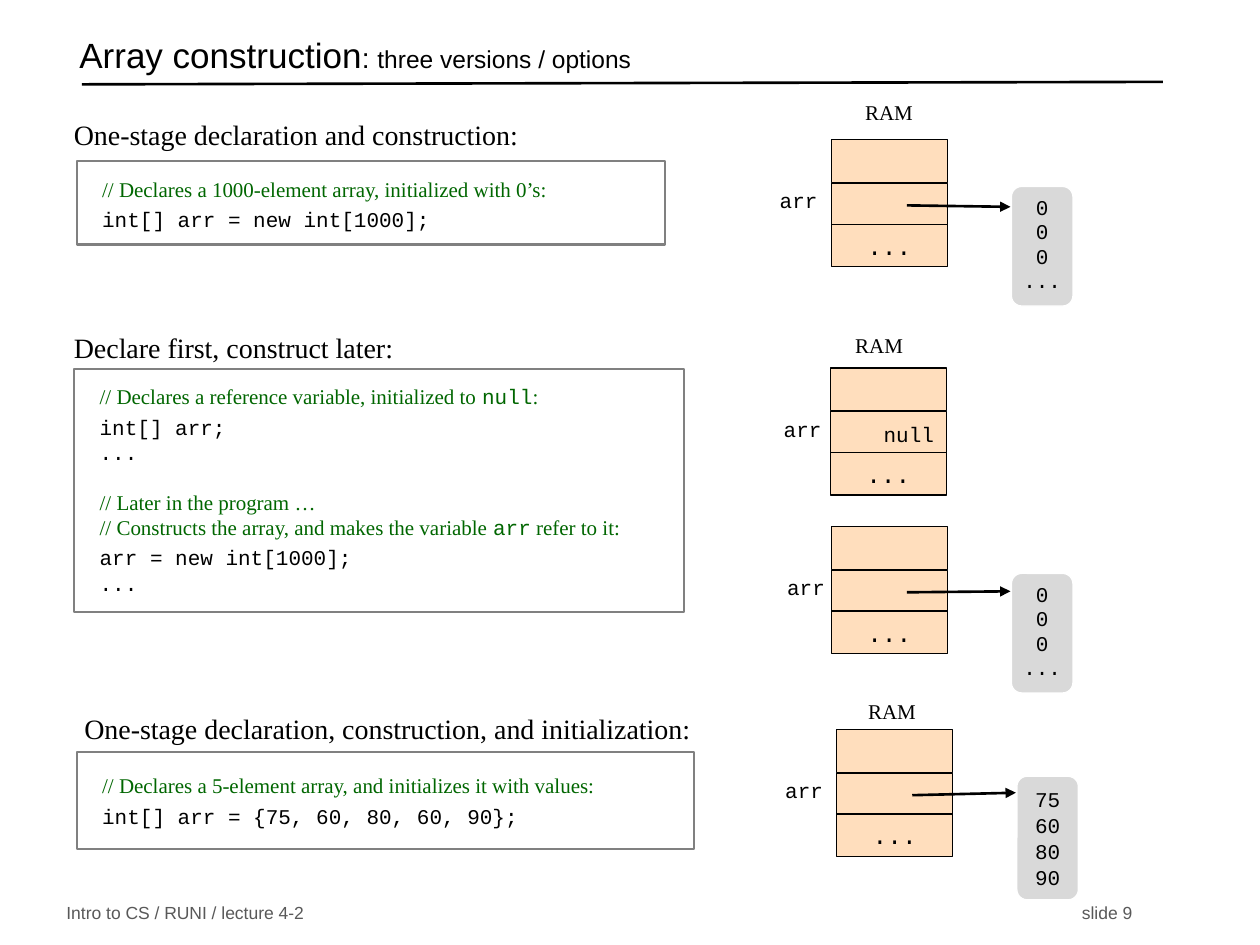
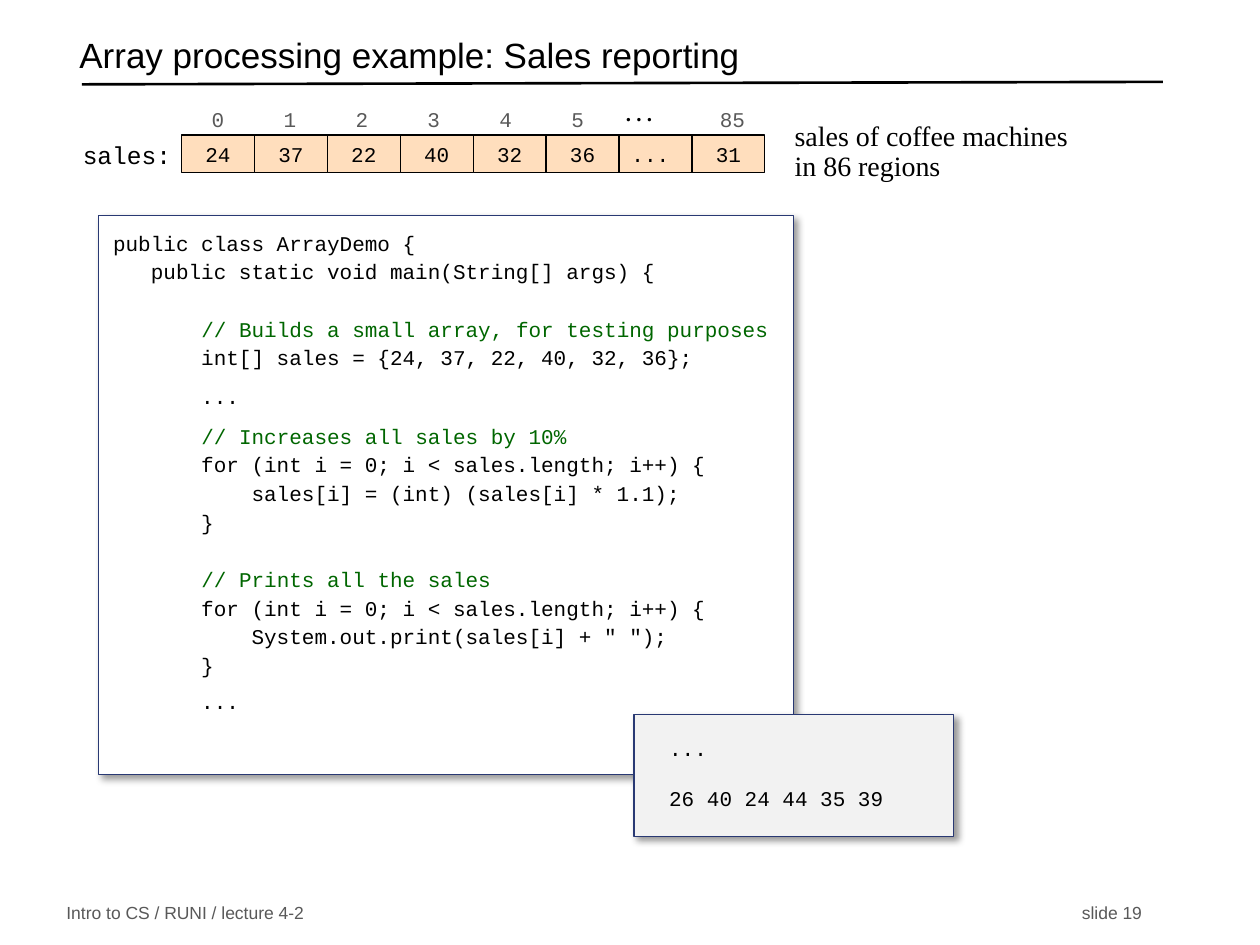
from dataclasses import dataclass
from typing import NamedTuple, Optional, Union

from lxml.etree import SubElement
from pptx import Presentation
from pptx.dml.color import RGBColor
from pptx.enum.shapes import MSO_CONNECTOR, MSO_SHAPE
from pptx.enum.text import MSO_ANCHOR as Anchor, PP_ALIGN as Align
from pptx.oxml.ns import qn
from pptx.util import Cm, Pt

SANS, SERIF, MONO = "Arial", "Times New Roman", "Courier New"
BLACK, WHITE, GREEN = "000000", "FFFFFF", "006600"
DIM, PEACH, SILVER = "595959", "FFDEBD", "D9D9D9"
FRAME, NAVY, PALE = "808080", "293973", "F2F2F2"
CODE_LINE = Pt(16.4)


class Run(NamedTuple):
    text: str
    font: Optional[str] = None
    size: Optional[float] = None
    color: Optional[str] = None


class Para(NamedTuple):
    runs: list[Run]
    before: float = 0


class Box(NamedTuple):
    """Left, top, width and height in centimetres."""
    left: float
    top: float
    width: float
    height: float

    def lengths(self) -> list[Cm]:
        return [Cm(side) for side in self]


@dataclass
class CodeBlock:
    heading: str
    heading_at: tuple[float, float]
    box: Box
    lines: list[Para]
    insets: tuple = (0.51, 0.3, 0, 0.25)
    anchor: Anchor = Anchor.TOP


@dataclass
class Memory:
    """A RAM column, its variable, and the array that it may refer to."""
    left: float
    top: float
    label_dx: float
    ram_offset: Optional[tuple[float, float]] = None
    values: Optional[list[str]] = None
    values_height: float = 2.41
    values_spacing: float = 13.8
    arrow_tip: float = 1.32


def rgb(color: str) -> RGBColor:
    return RGBColor.from_string(color)


def write(shape, text: Union[str, list[Para]], *, font=MONO, size=12.0, color=BLACK,
          bold=False, align=Align.LEFT, anchor=Anchor.TOP, spacing=None,
          insets=(0.25, 0.13, 0.25, 0.13)) -> None:
    frame = shape.text_frame
    frame.word_wrap = True
    frame.vertical_anchor = anchor
    (frame.margin_left, frame.margin_top,
     frame.margin_right, frame.margin_bottom) = map(Cm, insets)
    lines = text if isinstance(text, list) else [
        Para([Run(line)]) for line in text.split("\n")]
    for number, line in enumerate(lines):
        paragraph = frame.add_paragraph() if number else frame.paragraphs[0]
        paragraph.alignment = align
        if spacing:
            paragraph.line_spacing = spacing
        if line.before:
            paragraph.space_before = Pt(line.before)
        for part in line.runs:
            run = paragraph.add_run()
            run.text = part.text
            run.font.name = part.font or font
            run.font.size = Pt(part.size or size)
            run.font.color.rgb = rgb(part.color or color)
            run.font.bold = bold


def add_text(slide, box: Box, text: Union[str, list[Para]], **style) -> None:
    write(slide.shapes.add_textbox(*box.lengths()), text, **style)


def add_panel(slide, box: Box, fill: str, line: str, text="", *, weight=0.75,
              kind=MSO_SHAPE.RECTANGLE, shadow=False, **style) -> None:
    panel = slide.shapes.add_shape(kind, *box.lengths())
    panel.shadow.inherit = False
    panel.fill.solid()
    panel.fill.fore_color.rgb = rgb(fill)
    panel.line.color.rgb = rgb(line)
    panel.line.width = Pt(weight)
    if shadow:
        effects = panel._element.spPr.find(qn("a:effectLst"))
        outer = SubElement(effects, qn("a:outerShdw"), blurRad=str(Pt(4)),
                           dist=str(Pt(3)), dir="2700000", algn="tl", rotWithShape="0")
        tint = SubElement(outer, qn("a:srgbClr"), val=BLACK)
        SubElement(tint, qn("a:alpha"), val="40000")
    if text:
        write(panel, text, **style)


def add_line(slide, start: tuple[float, float], end: tuple[float, float],
             arrow: bool = False) -> None:
    line = slide.shapes.add_connector(
        MSO_CONNECTOR.STRAIGHT, *map(Cm, start), *map(Cm, end))
    line.line.color.rgb = rgb(BLACK)
    line.line.width = Pt(1.5)
    if arrow:
        SubElement(line.line._get_or_add_ln(), qn("a:tailEnd"), type="triangle")
    SubElement(line._element.spPr, qn("a:effectLst"))


def new_slide(deck, title: list[Run], number: int):
    """Start a slide with the shared title, rule and footer."""
    slide = deck.slides.add_slide(deck.slide_layouts[6])
    add_line(slide, (1.65, 1.7), (23.44, 1.65))
    for left, text in ((1.09, "Intro to CS / RUNI / lecture 4-2"),
                       (21.56, f"slide {number}")):
        add_text(slide, Box(left, 18.14, 9 if left < 10 else 3, 0.53), text,
                 font=SANS, size=10, color=DIM, anchor=Anchor.MIDDLE)
    add_text(slide, Box(1.35, 0.56, 21.84, 1.27), [Para(title)],
             font=SANS, size=20, anchor=Anchor.MIDDLE, spacing=0.7)
    return slide


def remark(text: str, *more: Run, before: float = 0) -> Para:
    return Para([Run(text, SERIF, color=GREEN), *more], before)


def code(text: str, before: float = 0) -> Para:
    return Para([Run(text)], before)


def listing(source: str) -> list[Para]:
    """Turn source into paragraphs: blank lines become space, comments green."""
    lines, gap = [], 0.0
    for text in source.strip().split("\n"):
        if not text:
            gap = 16.4
            continue
        indent, mark, comment = text.partition("//")
        runs = [Run(indent)] if indent else []
        if mark:
            runs.append(Run(mark + comment, color=GREEN))
        if text.strip() == "...":
            gap = 6 if len(lines) < 8 else 4
        elif lines and lines[-1].runs[0].text.strip() == "...":
            gap = 6
        lines.append(Para(runs, gap))
        gap = 0.0
    return lines


def draw_code_block(slide, block: CodeBlock) -> None:
    add_panel(slide, block.box, WHITE, FRAME, block.lines, weight=1.25,
              insets=block.insets, anchor=block.anchor)
    add_text(slide, Box(*block.heading_at, 15, 1.17), block.heading,
             font=SERIF, size=16, spacing=Pt(26))


def draw_memory(slide, memory: Memory) -> None:
    left, top = memory.left, memory.top
    add_text(slide, Box(left + memory.label_dx, top + 0.84, 2.74, 0.76), "arr",
             align=Align.RIGHT)
    if memory.ram_offset:
        dx, dy = memory.ram_offset
        add_text(slide, Box(left + dx, top + dy, 3.18, 1.07), "RAM", font=SERIF)

    # Three stacked cells
    content = "" if memory.values else "null"
    add_panel(slide, Box(left, top, 2.34, 0.86), PEACH, BLACK)
    add_panel(slide, Box(left, top + 0.88, 2.34, 0.86), PEACH, BLACK, content,
              align=Align.RIGHT, insets=(0.25, 0.19, 0.25, 0.1))
    add_panel(slide, Box(left, top + 1.7, 2.34, 0.86), PEACH, BLACK, "...",
              size=14, align=Align.CENTER)

    # The array in memory, and the reference to it
    if memory.values:
        add_panel(slide, Box(left + 3.63, top + 0.94, 1.24, memory.values_height),
                  SILVER, WHITE, "\n".join(memory.values),
                  kind=MSO_SHAPE.ROUNDED_RECTANGLE, align=Align.CENTER,
                  spacing=Pt(memory.values_spacing), insets=(0, 0.13, 0, 0.13))
        add_line(slide, (left + 1.52, top + 1.32),
                 (left + 3.61, top + memory.arrow_tip), arrow=True)


ZEROS = ["0", "0", "0", "..."]

CODE_BLOCKS = [
    CodeBlock("One-stage declaration and construction:", (1.24, 2.01),
              Box(1.55, 3.25, 11.86, 1.68),
              [remark("// Declares a 1000-element array, initialized with 0’s:"),
               code("int[] arr = new int[1000];", 3)]),
    CodeBlock("Declare first, construct later:", (1.24, 6.3),
              Box(1.5, 7.44, 12.29, 4.9),
              [remark("// Declares a reference variable, initialized to ",
                      Run("null", color=GREEN), Run(":", SERIF, color=GREEN)),
               code("int[] arr;", 3),
               code("..."),
               remark("// Later in the program …", before=14),
               remark("// Constructs the array, and makes the variable ",
                      Run("arr", color=GREEN),
                      Run(" refer to it:", SERIF, color=GREEN)),
               code("arr = new int[1000];", 3),
               code("...")]),
    CodeBlock("One-stage declaration, construction, and initialization:", (1.45, 13.97),
              Box(1.55, 15.16, 12.45, 1.96),
              [remark("// Declares a 5-element array, and initializes it with values:"),
               code("int[] arr = {75, 60, 80, 60, 90};", 3)],
              insets=(0.51, 0.3, 0.51, 0.3), anchor=Anchor.MIDDLE),
]

MEMORIES = [
    Memory(16.76, 2.82, -2.77, (0.43, -0.94), ZEROS, arrow_tip=1.35),
    Memory(16.74, 7.42, -2.67, (0.25, -0.84)),
    Memory(16.76, 10.62, -2.62, None, ZEROS, arrow_tip=1.3),
    Memory(16.87, 14.71, -2.77, (0.38, -0.76), ["75", "60", "80", "90"],
           values_height=2.49, values_spacing=14.8, arrow_tip=1.27),
]

SALES = ["24", "37", "22", "40", "32", "36", "...", "31"]

ARRAY_DEMO = """
public class ArrayDemo {
   public static void main(String[] args) {

       // Builds a small array, for testing purposes
       int[] sales = {24, 37, 22, 40, 32, 36};
       ...
       // Increases all sales by 10%
       for (int i = 0; i < sales.length; i++) {
           sales[i] = (int) (sales[i] * 1.1);
       }

       // Prints all the sales
       for (int i = 0; i < sales.length; i++) {
           System.out.print(sales[i] + " ");
       }
       ...
"""


def build_construction(deck) -> None:
    slide = new_slide(deck, [Run("Array construction"), Run(": ", size=16),
                             Run("three versions / options", size=14)], 9)
    for block in CODE_BLOCKS:
        draw_code_block(slide, block)
    for memory in MEMORIES:
        draw_memory(slide, memory)


def build_sales(deck) -> None:
    slide = new_slide(deck, [Run("Array processing example: Sales reporting")], 19)

    # Program and its output
    add_panel(slide, Box(1.98, 4.34, 14.02, 11.28), WHITE, NAVY, listing(ARRAY_DEMO),
              shadow=True, spacing=CODE_LINE, insets=(0.3, 0.23, 0, 0.23))
    add_panel(slide, Box(12.78, 14.4, 6.45, 2.46), PALE, NAVY,
              [code("..."), code("26 40 24 44 35 39", 12)],
              shadow=True, spacing=CODE_LINE, insets=(0.71, 0.36, 0, 0.23))

    # Array cells
    add_text(slide, Box(1.42, 2.7, 2.57, 0.76), "sales:", size=14)
    for place, amount in enumerate(SALES):
        add_panel(slide, Box(3.66 + 1.47 * place, 2.72, 1.47, 0.76), PEACH, BLACK,
                  amount, align=Align.LEFT if amount == "..." else Align.CENTER)

    # Indexes above the cells
    indexes = [(3.66 + 1.45 * index, str(index)) for index in range(6)]
    for left, index in indexes + [(14.03, "85")]:
        add_text(slide, Box(left, 2.01, 1.47, 0.76), index, color=DIM,
                 align=Align.CENTER)
    add_text(slide, Box(12.37, 1.9, 1.47, 0.86), ". . .", font=SERIF, bold=True)
    add_text(slide, Box(15.77, 2.34, 9.12, 1.75),
             "sales of coffee machines\nin 86 regions", font=SERIF, size=16, spacing=0.9)


def main() -> None:
    deck = Presentation()
    deck.slide_width, deck.slide_height = Cm(25.4), Cm(19.05)
    build_construction(deck)
    build_sales(deck)
    deck.save("out.pptx")


if __name__ == "__main__":
    main()
